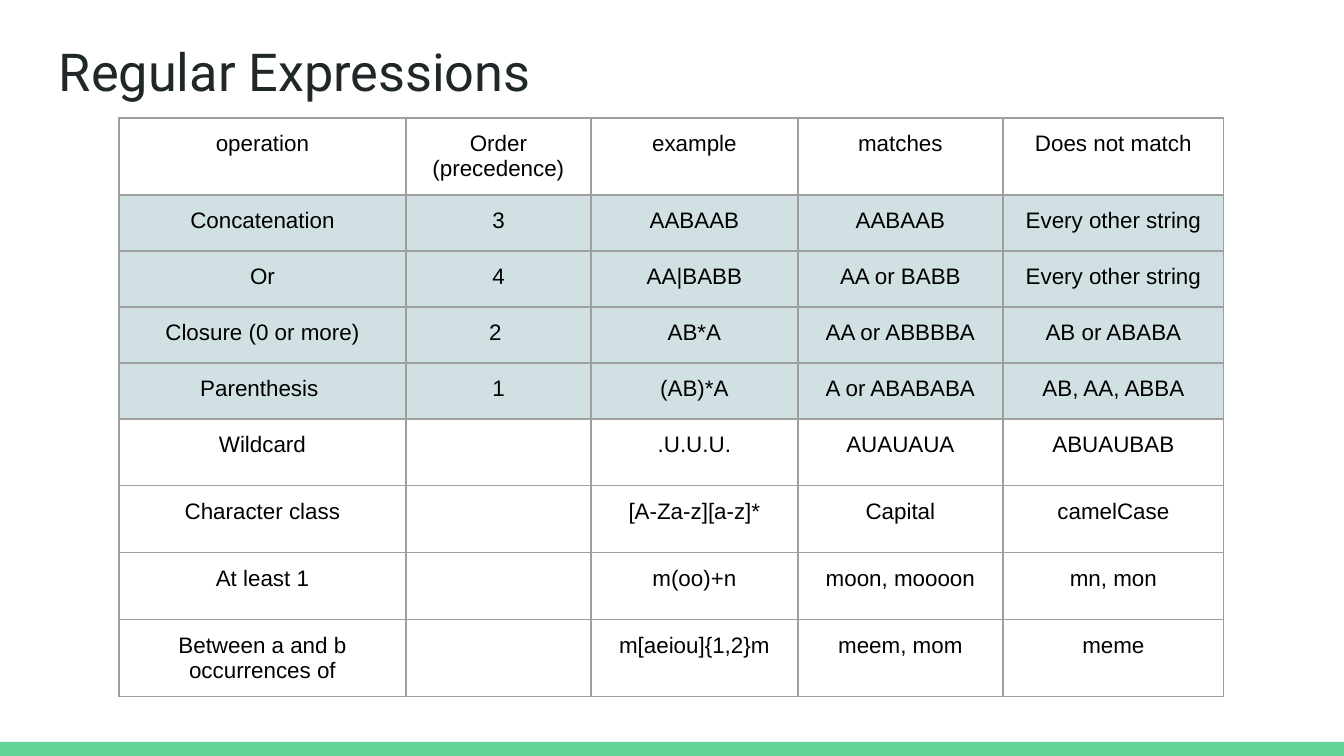
import pptx
import pptx.dml.color
import pptx.enum.shapes
import pptx.enum.text
import pptx.oxml
import pptx.oxml.ns
import pptx.util

SCALE = 914400 / 134.4
WIDE, HIGH = 1344, 756
INSET = 13
COLORS = {"ink": "000000", "title": "202729", "bar": "63D297",
          "band": "D0E0E3", "line": "9E9E9E"}
COLS = [287, 185, 207, 205, 221]
ROWS = [77, 56, 56, 56, 56, 64, 65, 64, 77]
BANDS = range(1, 5)
CELLS = [
    ["operation", "Order (precedence)", "example", "matches", "Does not match"],
    ["Concatenation", "3", "AABAAB", "AABAAB", "Every other string"],
    ["Or", "4", "AA|BABB", "AA or BABB", "Every other string"],
    ["Closure (0 or more)", "2 ", "AB*A", "AA or ABBBBA", "AB or ABABA"],
    ["Parenthesis ", "1", "(AB)*A", "A or ABABABA", "AB, AA, ABBA"],
    ["Wildcard", "", ".U.U.U.", "AUAUAUA", "ABUAUBAB"],
    ["Character class", "", "[A-Za-z][a-z]*", "Capital", "camelCase"],
    ["At least 1", "", "m(oo)+n", "moon, moooon", "mn, mon"],
    ["Between a and b occurrences of", "", "m[aeiou]{1,2}m", "meem, mom", "meme"],
]


def px(num):
    """Turn pixels into EMU."""
    return pptx.util.Emu(round(num * SCALE))


def color(name):
    """Look up a colour by name."""
    return pptx.dml.color.RGBColor.from_string(COLORS[name])


def style(para, face, size, tone, align):
    """Format the runs of a paragraph and align it."""
    para.alignment = align
    for run in para.runs:
        run.font.name = face
        run.font.size = pptx.util.Pt(size)
        run.font.color.rgb = color(tone)


def pad(item):
    """Give a cell or text frame equal margins."""
    item.margin_left = item.margin_right = px(INSET)
    item.margin_top = item.margin_bottom = px(INSET)


def border(cell):
    """Draw a thin line on each side of a cell."""
    props = cell._tc.get_or_add_tcPr()
    for side in "LRTB":
        props.append(pptx.oxml.parse_xml(
            f'<a:ln{side} {pptx.oxml.ns.nsdecls("a")} w="9525"><a:solidFill>'
            f'<a:srgbClr val="{COLORS["line"]}"/></a:solidFill></a:ln{side}>'))


def add_bar(slide, left, top, width, height):
    """Place the coloured strip."""
    bar = slide.shapes.add_shape(pptx.enum.shapes.MSO_SHAPE.RECTANGLE,
                                 px(left), px(top), px(width), px(height))
    bar.shadow.inherit = False
    bar.fill.solid()
    bar.fill.fore_color.rgb = color("bar")
    bar.line.fill.background()


def add_title(slide, text, left, top, width, height):
    """Place and format the title."""
    title = slide.shapes.title
    title.left, title.top = px(left), px(top)
    title.width, title.height = px(width), px(height)
    frame = title.text_frame
    frame.text = text
    frame.word_wrap = True
    frame.auto_size = pptx.enum.text.MSO_AUTO_SIZE.NONE
    frame.vertical_anchor = pptx.enum.text.MSO_ANCHOR.TOP
    pad(frame)
    style(frame.paragraphs[0], "Roboto", 28, "title", pptx.enum.text.PP_ALIGN.LEFT)


def add_grid(slide, left, top):
    """Place the table of operations."""
    table = slide.shapes.add_table(len(ROWS), len(COLS), px(left), px(top),
                                   px(sum(COLS)), px(sum(ROWS))).table
    table.first_row = table.horz_banding = False
    for col, width in zip(table.columns, COLS):
        col.width = px(width)
    for num, (row, height) in enumerate(zip(table.rows, ROWS)):
        row.height = px(height)
        for cell, text in zip(row.cells, CELLS[num]):
            border(cell)
            pad(cell)
            if num in BANDS:
                cell.fill.solid()
                cell.fill.fore_color.rgb = color("band")
            else:
                cell.fill.background()
            if text:
                cell.text_frame.text = text
                style(cell.text_frame.paragraphs[0], "Arial", 12, "ink",
                      pptx.enum.text.PP_ALIGN.CENTER)


def main():
    """Build and save the slide."""
    deck = pptx.Presentation()
    deck.slide_width, deck.slide_height = px(WIDE), px(HIGH)
    slide = deck.slides.add_slide(deck.slide_layouts[5])
    add_bar(slide, 0, 742, WIDE, HIGH - 742)
    add_title(slide, "Regular Expressions", 46, 26, 1252, 84)
    add_grid(slide, 119, 118)
    deck.save("out.pptx")


if __name__ == "__main__":
    main()
